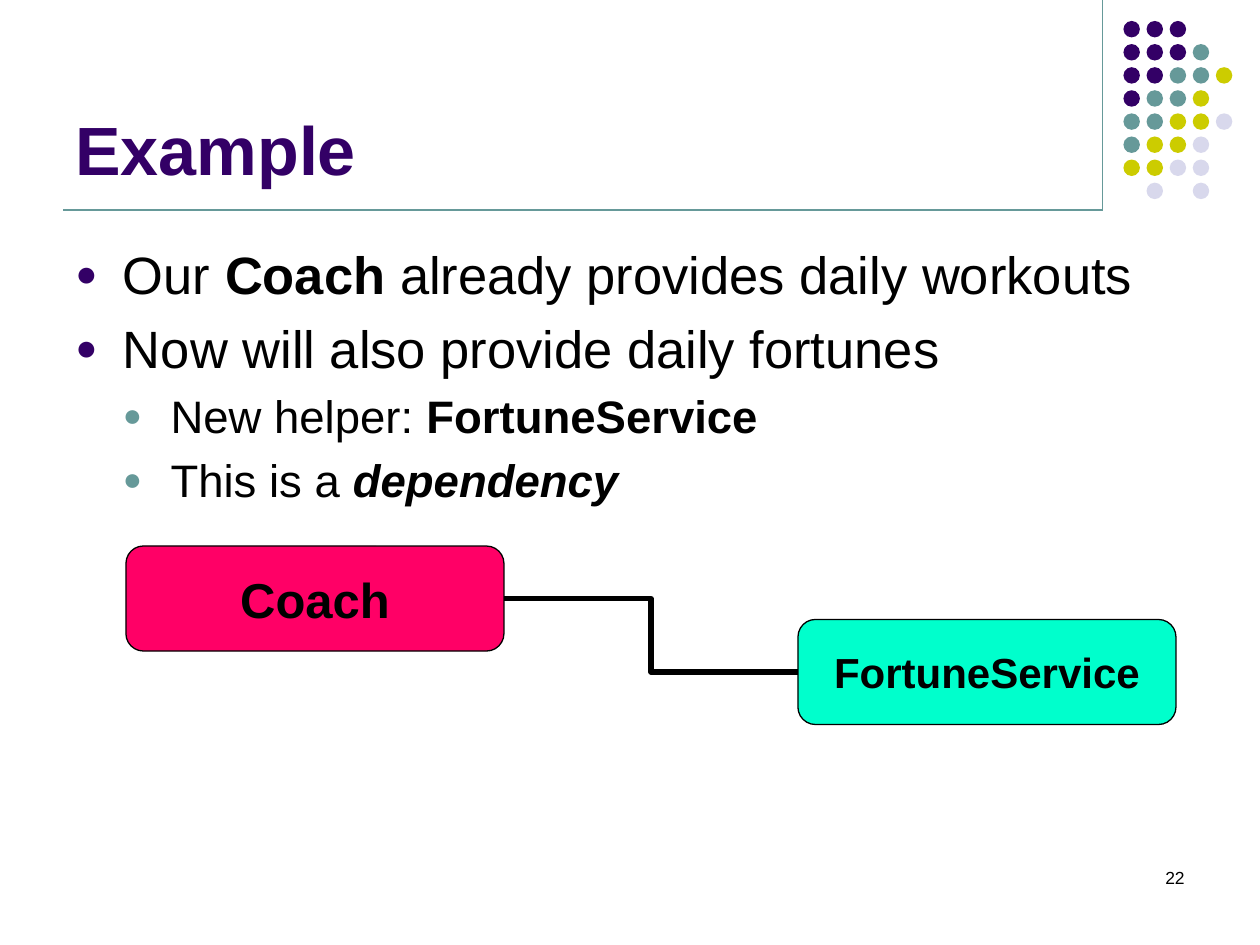
"""Build the Coach and FortuneService dependency example slide."""
from lxml import etree
from pptx import Presentation
from pptx.dml.color import RGBColor
from pptx.enum.shapes import MSO_CONNECTOR, MSO_SHAPE
from pptx.enum.text import MSO_ANCHOR, PP_ALIGN
from pptx.oxml.ns import qn
from pptx.util import Pt

STRAIGHT, ELBOW = MSO_CONNECTOR.STRAIGHT, MSO_CONNECTOR.ELBOW
OVAL, ROUNDED = MSO_SHAPE.OVAL, MSO_SHAPE.ROUNDED_RECTANGLE
TOP, MIDDLE, BOTTOM = MSO_ANCHOR.TOP, MSO_ANCHOR.MIDDLE, MSO_ANCHOR.BOTTOM
LEFT, CENTER, RIGHT = PP_ALIGN.LEFT, PP_ALIGN.CENTER, PP_ALIGN.RIGHT
BLACK = RGBColor(0x00, 0x00, 0x00)
PURPLE = RGBColor(0x33, 0x00, 0x66)
TEAL = RGBColor(0x66, 0x99, 0x99)
OLIVE = RGBColor(0xCC, 0xCC, 0x00)
LAVENDER = RGBColor(0xD8, 0xD8, 0xEC)
PINK = RGBColor(0xFF, 0x00, 0x66)
MINT = RGBColor(0x00, 0xFF, 0xCC)

prs = Presentation()
prs.slide_width, prs.slide_height = Pt(720), Pt(540)
slide = prs.slides.add_slide(prs.slide_layouts[6])
shapes = slide.shapes


def add_run(paragraph, text, **formats):
    run = paragraph.add_run()
    run.text = text
    run.font.name = "Arial"
    color = formats.pop("color", BLACK)
    run.font.color.rgb = color
    for name, value in formats.items():
        setattr(run.font, name, value)


def add_line(kind, ends, color, width):
    line = shapes.add_connector(kind, *[Pt(v) for v in ends])
    line.line.color.rgb = color
    line.line.width = Pt(width)
    etree.SubElement(line._element.spPr, qn("a:effectLst"))
    return line


for ends in [(630, 0, 630, 120), (36, 120, 630, 120)]:
    add_line(STRAIGHT, ends, TEAL, 0.75)

dot_colors = {"P": PURPLE, "T": TEAL, "O": OLIVE, "L": LAVENDER}
dot_rows = ["PPP", "PPPT", "PPTTO", "PTTO", "TTOOL", "TOOL", "OOLL", " L L"]
dots = shapes.add_group_shape()
for row, codes in enumerate(dot_rows):
    for column, code in enumerate(codes):
        if code in dot_colors:
            dot = dots.shapes.add_shape(OVAL, Pt(642 + 13.2 * column), Pt(12 + 13.2 * row), Pt(9.4), Pt(9.4))
            dot.shadow.inherit = False
            dot.fill.solid()
            dot.fill.fore_color.rgb = dot_colors[code]
            dot.line.fill.background()

frames = []
for box, anchor in [((36, 9.5, 594, 102), BOTTOM), ((36, 135, 648, 347), TOP), ((516, 492, 168, 36), TOP)]:
    frame = shapes.add_textbox(*[Pt(v) for v in box]).text_frame
    frame.word_wrap = True
    frame.vertical_anchor = anchor
    frames.append(frame)
title, body, page_number = frames

add_run(title.paragraphs[0], "Example", size=Pt(39), bold=True, color=PURPLE)
page_number.paragraphs[0].alignment = RIGHT
add_run(page_number.paragraphs[0], "22", size=Pt(10))

bullets = [
    (0, [("Our ", {}), ("Coach ", {"bold": True}), ("already provides daily workouts", {})]),
    (0, [("Now will also provide daily fortunes", {})]),
    (1, [("New helper: ", {}), ("FortuneService", {"bold": True})]),
    (1, [("This is a ", {}), ("dependency", {"bold": True, "italic": True})]),
]
level_styles = [(30, PURPLE), (26, TEAL)]
for index, (level, runs) in enumerate(bullets):
    paragraph = body.add_paragraph() if index else body.paragraphs[0]
    paragraph.level = level
    paragraph.alignment = LEFT
    size, bullet_color = level_styles[level]
    properties = paragraph._p.get_or_add_pPr()
    properties.set("marL", str(Pt(27.2) * (level + 1)))
    properties.set("indent", str(-Pt(27.2)))
    for tag, child, value in [("spcBef", "spcPct", "20000"), ("buClr", "srgbClr", str(bullet_color))]:
        parent = etree.SubElement(properties, qn("a:" + tag))
        etree.SubElement(parent, qn("a:" + child), val=value)
    etree.SubElement(properties, qn("a:buSzPct"), val="70000")
    etree.SubElement(properties, qn("a:buFont"), typeface="Arial")
    etree.SubElement(properties, qn("a:buChar"), char="●")
    for text, formats in runs:
        add_run(paragraph, text, size=Pt(size), **formats)

classes = []
for name, left, top, color, size in [("Coach", 72, 312, PINK, 28), ("FortuneService", 456, 354, MINT, 24)]:
    box = shapes.add_shape(ROUNDED, Pt(left), Pt(top), Pt(216), Pt(60))
    box.shadow.inherit = False
    box.fill.solid()
    box.fill.fore_color.rgb = color
    box.line.color.rgb = BLACK
    box.line.width = Pt(0.75)
    box.text_frame.vertical_anchor = MIDDLE
    box.text_frame.paragraphs[0].alignment = CENTER
    add_run(box.text_frame.paragraphs[0], name, size=Pt(size), bold=True)
    classes.append(box)

coach, fortune_service = classes
dependency = add_line(ELBOW, (288, 342, 456, 384), BLACK, 3)
dependency.begin_connect(coach, 3)
dependency.end_connect(fortune_service, 1)

prs.save("out.pptx")
